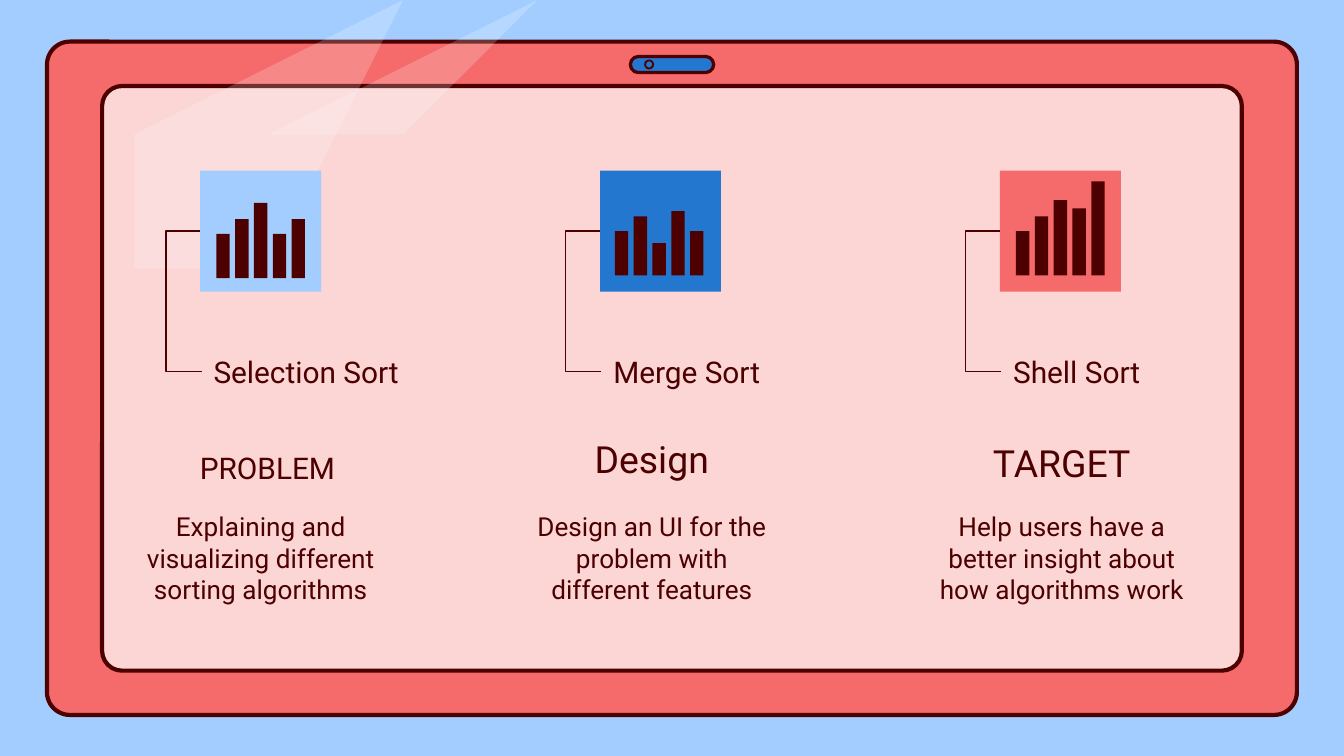
from math import cos, radians, sin

from lxml import etree
from pptx import Presentation
from pptx.dml.color import RGBColor
from pptx.enum.shapes import MSO_CONNECTOR, MSO_SHAPE
from pptx.enum.text import MSO_ANCHOR, PP_ALIGN
from pptx.oxml.ns import qn
from pptx.util import Inches, Pt

RECT = MSO_SHAPE.RECTANGLE
ROUNDED = MSO_SHAPE.ROUNDED_RECTANGLE
OVAL = MSO_SHAPE.OVAL
ELBOW = MSO_CONNECTOR.ELBOW
TOP = MSO_ANCHOR.TOP
MIDDLE = MSO_ANCHOR.MIDDLE
BOTTOM = MSO_ANCHOR.BOTTOM
LEFT = PP_ALIGN.LEFT
CENTER = PP_ALIGN.CENTER

SKY = RGBColor(0xA4, 0xCD, 0xFF)
CORAL = RGBColor(0xF5, 0x6B, 0x6B)
BLUSH = RGBColor(0xFC, 0xD5, 0xD5)
BLUE = RGBColor(0x24, 0x77, 0xCF)
MAROON = RGBColor(0x4D, 0x00, 0x00)
WHITE = RGBColor(0xFF, 0xFF, 0xFF)

FONT = "Roboto"
WIDTH, HEIGHT = 10, 5.625
FIRST_COLUMN, COLUMN_STEP = 1.49, 2.975
TILE_TOP, TILE_SIZE = 1.27, 0.9
LABEL_TOP, LABEL_WIDTH, ROW_HEIGHT = 2.45, 1.92, 0.63
BODY_TOP = 3.7
BAR_WIDTH, BAR_STEP = 0.1, 0.14
BRACKET_DEPTH, BRACKET_OFFSET = 0.26, 0.01

SORTS = [
    ("Selection Sort", SKY, 0.12, 2.07, (0.33, 0.44, 0.56, 0.33, 0.44)),
    ("Merge Sort", BLUE, 0.11, 2.05, (0.33, 0.44, 0.24, 0.48, 0.33)),
    ("Shell Sort", CORAL, 0.12, 2.05, (0.33, 0.44, 0.56, 0.5, 0.7)),
]
GOALS = [
    ("PROBLEM", 16, 1.99, 3.08,
     "Explaining and visualizing different sorting algorithms", 1.94, 2.24),
    ("Design", 20, 4.85, 3.05,
     "Design an UI for the problem with different features", 4.85, 1.92),
    ("TARGET", 20, 7.9, 3.08,
     "Help users have a better insight about how algorithms work", 7.9, 2.19),
]
GLARES = [
    (2.83, 3.17, 1.53, 1.54, 0.11),
    (3.55, 3.84, 2.47, 1.33, 0.09),
]


def add_block(page, kind, left, top, width, height, fill, line_width=0):
    block = page.shapes.add_shape(
        kind, Inches(left), Inches(top), Inches(width), Inches(height))
    block.shadow.inherit = False
    block.fill.solid()
    block.fill.fore_color.rgb = fill
    if line_width:
        block.line.color.rgb = MAROON
        block.line.width = Pt(line_width)
    else:
        block.line.fill.background()
    return block


def add_text(page, text, left, top, width, size, anchor, align):
    box = page.shapes.add_textbox(
        Inches(left), Inches(top), Inches(width), Inches(ROW_HEIGHT))
    frame = box.text_frame
    frame.word_wrap = True
    frame.vertical_anchor = anchor
    frame.margin_left = frame.margin_right = Inches(0.1)
    frame.margin_top = frame.margin_bottom = Inches(0.1)
    para = frame.paragraphs[0]
    para.text = text
    para.alignment = align
    para.font.name = FONT
    para.font.size = Pt(size)
    para.font.color.rgb = MAROON


def add_glare(page, top, start, end, center_x, center_y, radius):
    cap = [(center_x + radius * cos(radians(angle)),
            center_y + radius * sin(radians(angle)))
           for angle in range(50, 231, 12)]
    builder = page.shapes.build_freeform(end, top, scale=Inches(1))
    builder.add_line_segments(cap + [(start, top)], close=True)
    glare = builder.convert_to_shape()
    glare.shadow.inherit = False
    glare.fill.solid()
    glare.fill.fore_color.rgb = WHITE
    glare.line.fill.background()
    color = next(glare._element.spPr.iter(qn("a:srgbClr")))
    etree.SubElement(color, qn("a:alpha"), val="20000")


def add_bracket(page, left, top, bottom):
    bracket = page.shapes.add_connector(
        ELBOW, Inches(left), Inches(top),
        Inches(left + BRACKET_OFFSET), Inches(bottom))
    bracket.line.color.rgb = MAROON
    bracket.line.width = Pt(0.75)
    properties = bracket._element.spPr
    bend = round(-BRACKET_DEPTH / BRACKET_OFFSET * 100000)
    guides = properties.find(qn("a:prstGeom")).find(qn("a:avLst"))
    etree.SubElement(guides, qn("a:gd"), name="adj1", fmla=f"val {bend}")
    etree.SubElement(properties, qn("a:effectLst"))


def add_tablet(page):
    edge = 0.31
    body = add_block(page, ROUNDED, 0.35, edge, 9.3, 5.01, CORAL, 2.25)
    screen = add_block(page, ROUNDED, 0.76, 0.64, 8.48, 4.35, BLUSH, 2.25)
    for panel in (body, screen):
        panel.adjustments[0] = 0.034
    for glare in GLARES:
        add_glare(page, edge + 0.02, *glare)
    camera = add_block(page, ROUNDED, 4.69, 0.42, 0.62, 0.12, BLUE, 1.75)
    camera.adjustments[0] = 0.5
    add_block(page, OVAL, 4.8, 0.45, 0.06, 0.06, BLUE, 1)


def add_sort(page, column, name, color, inset, base, heights):
    left = FIRST_COLUMN + column * COLUMN_STEP
    add_text(page, name, left, LABEL_TOP, LABEL_WIDTH, 16, MIDDLE, LEFT)
    add_block(page, RECT, left, TILE_TOP, TILE_SIZE, TILE_SIZE, color)
    add_bracket(page, left, TILE_TOP + TILE_SIZE / 2,
                LABEL_TOP + ROW_HEIGHT / 2)
    for index, height in enumerate(heights):
        add_block(page, RECT, left + inset + index * BAR_STEP, base - height,
                  BAR_WIDTH, height, MAROON)


def add_goal(page, title, size, title_center, title_top,
             body, body_center, body_width):
    add_text(page, title, title_center - LABEL_WIDTH / 2, title_top,
             LABEL_WIDTH, size, BOTTOM, CENTER)
    add_text(page, body, body_center - body_width / 2, BODY_TOP,
             body_width, 14, TOP, CENTER)


def main():
    deck = Presentation()
    deck.slide_width = Inches(WIDTH)
    deck.slide_height = Inches(HEIGHT)
    page = deck.slides.add_slide(deck.slide_layouts[6])
    page.background.fill.solid()
    page.background.fill.fore_color.rgb = SKY
    add_tablet(page)
    for column, sort in enumerate(SORTS):
        add_sort(page, column, *sort)
    for goal in GOALS:
        add_goal(page, *goal)
    deck.save("out.pptx")


if __name__ == "__main__":
    main()
